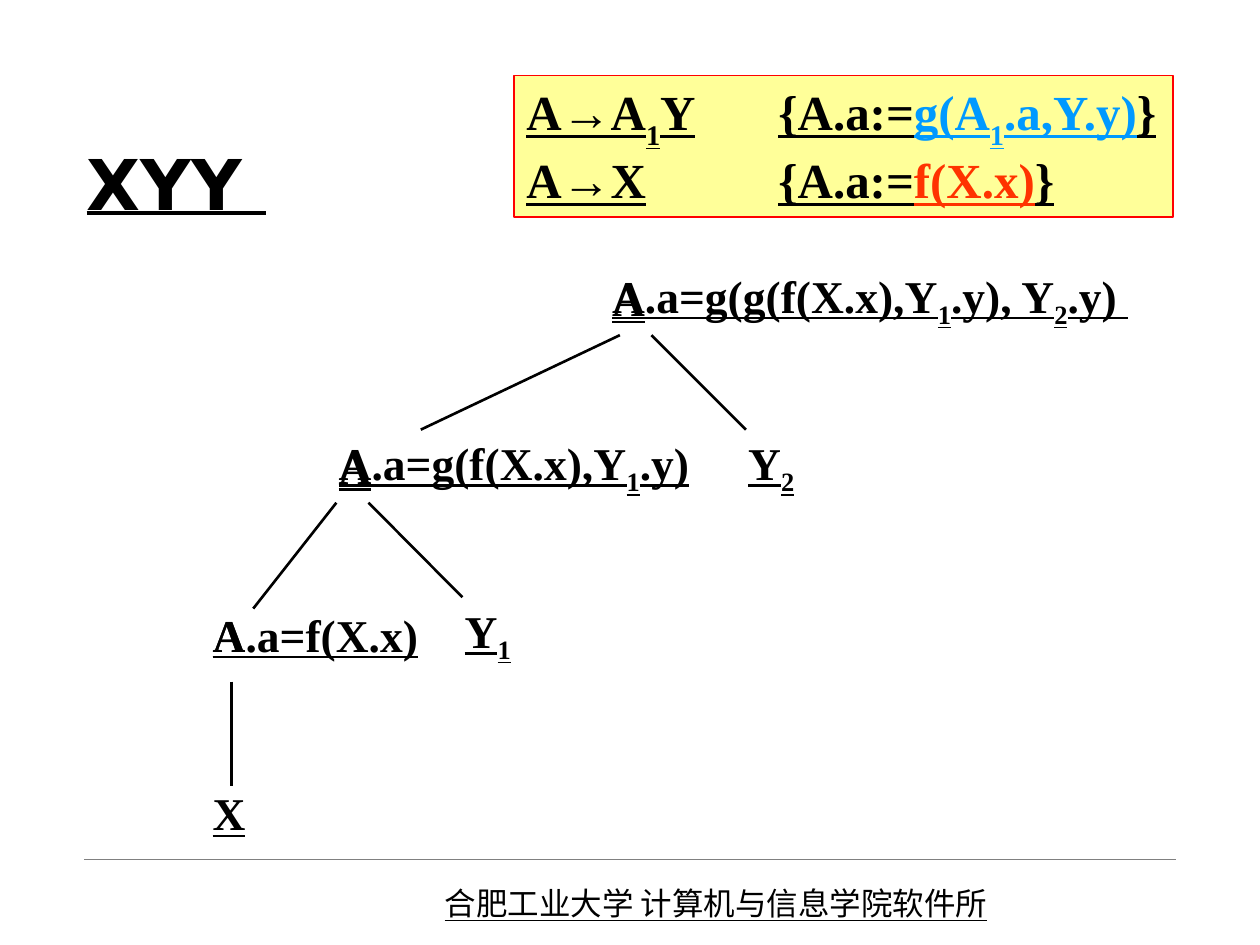
from lxml.etree import SubElement
from pptx import Presentation
from pptx.dml.color import RGBColor
from pptx.enum.shapes import MSO_CONNECTOR as Connector, MSO_SHAPE as Shape
from pptx.enum.text import MSO_ANCHOR as Anchor, PP_ALIGN as Align
from pptx.oxml.ns import qn
from pptx.util import Inches, Pt

COLORS = {"ink": "000000", "blue": "0099FF", "orange": "FF3300",
          "yellow": "FFFF99", "red": "FF0000", "gray": "808080"}
SERIF = {"name": "Times New Roman", "size": Pt(26), "bold": True, "underline": True}
RULE = {**SERIF, "size": Pt(28)}
TITLE = {"name": "DejaVu Sans", "size": Pt(40), "bold": True, "underline": True}
FOOTER = {"name": "Noto Sans CJK SC", "size": Pt(18), "underline": True}
NODE_HEIGHT = 0.58
NODE_WIDTH = 0.67
NODES = [
    (1.59, 6.16, NODE_WIDTH, "X"),
    (1.59, 4.74, NODE_WIDTH, "A"),
    (1.59, 4.74, 2.17, "A.a=f(X.x)"),
    (3.59, 4.74, NODE_WIDTH, "Y_1"),
    (2.59, 3.41, 3, "A.a=g(f(X.x),Y_1.y)"),
    (5.84, 3.41, NODE_WIDTH, "Y_2"),
    (4.76, 2.08, NODE_WIDTH, "A"),
    (4.76, 2.08, 4.5, "A.a=g(g(f(X.x),Y_1.y), Y_2.y) "),
]
EDGES = [
    (1.84, 5.41, 1.84, 6.24),
    (2.67, 3.99, 2.01, 4.83),
    (4.92, 2.66, 3.34, 3.41),
    (5.17, 2.66, 5.92, 3.41),
]
RULES = [
    [("A→A_1Y\t{A.a:=", "ink"), ("g(A_1.a,Y.y)", "blue"), ("}", "ink")],
    [("A→X\t\t{A.a:=", "ink"), ("f(X.x)", "orange"), ("}", "ink")],
]


def rgb(name):
    return RGBColor.from_string(COLORS[name])


def add_span(para, text, style, color, baseline=None):
    span = para.add_run()
    span.text = text
    for key, value in style.items():
        setattr(span.font, key, value)
    span.font.color.rgb = rgb(color)
    props = span.font._element
    SubElement(props, qn("a:ea")).set("typeface", style["name"])
    if baseline:
        props.set("baseline", str(baseline * 1000))


def add_indexed(para, text, style, color="ink", baseline=-25):
    first, *rest = text.split("_")
    add_span(para, first, style, color)
    for part in rest:
        add_span(para, part[0], style, color, baseline)
        if part[1:]:
            add_span(para, part[1:], style, color)


def add_text(page, left, top, width, height, text, style, wrap=True, anchor=Anchor.MIDDLE):
    box = page.shapes.add_textbox(*map(Inches, (left, top, width, height)))
    frame = box.text_frame
    frame.word_wrap = wrap
    frame.vertical_anchor = anchor
    add_indexed(frame.paragraphs[0], text, style)
    return box


def add_line(page, ends, color="ink", weight=1.5):
    line = page.shapes.add_connector(Connector.STRAIGHT, *map(Inches, ends))
    line.line.color.rgb = rgb(color)
    line.line.width = Pt(weight)
    SubElement(line._element.spPr, qn("a:effectLst"))
    return line


def add_tabs(para, positions):
    tabs = SubElement(para._p.get_or_add_pPr(), qn("a:tabLst"))
    for position in positions:
        tab = SubElement(tabs, qn("a:tab"))
        tab.set("pos", str(Inches(position)))
        tab.set("algn", "l")


def add_rules(page):
    box = page.shapes.add_shape(Shape.RECTANGLE, *map(Inches, (4.08, 0.6, 5.23, 1.12)))
    box.shadow.inherit = False
    box.fill.solid()
    box.fill.fore_color.rgb = rgb("yellow")
    box.line.color.rgb = rgb("red")
    box.line.width = Pt(1)
    frame = box.text_frame
    frame.word_wrap = False
    frame.vertical_anchor = Anchor.TOP
    for index, rule in enumerate(RULES):
        para = frame.add_paragraph() if index else frame.paragraphs[0]
        add_tabs(para, range(1, 8))
        para.alignment = Align.LEFT
        para.line_spacing = 0.9
        if index:
            para.space_before = Pt(7.1)
        for text, color in rule:
            add_indexed(para, text, RULE, color, -30)


def add_tree(page):
    for left, top, width, text in NODES:
        add_text(page, left, top, width, NODE_HEIGHT, text, SERIF, wrap=False)
    for ends in EDGES:
        add_line(page, ends)
    parent = add_text(page, 2.59, 3.41, NODE_WIDTH, NODE_HEIGHT, "A", SERIF, wrap=False)
    add_line(page, (2.92, 3.99, 3.67, 4.74)).begin_connect(parent, 2)


def main():
    deck = Presentation()
    deck.slide_width, deck.slide_height = Inches(10), Inches(7.5)
    page = deck.slides.add_slide(deck.slide_layouts[6])
    add_line(page, (0.67, 6.82, 9.33, 6.82), "gray", 0.25)
    add_text(page, 3.43, 6.97, 5.2, 0.4, "合肥工业大学 计算机与信息学院软件所", FOOTER, anchor=Anchor.TOP)
    add_text(page, 0.59, 0.84, 8.5, 1.21, "XYY ", TITLE)
    add_tree(page)
    add_rules(page)
    deck.save("out.pptx")


if __name__ == "__main__":
    main()
